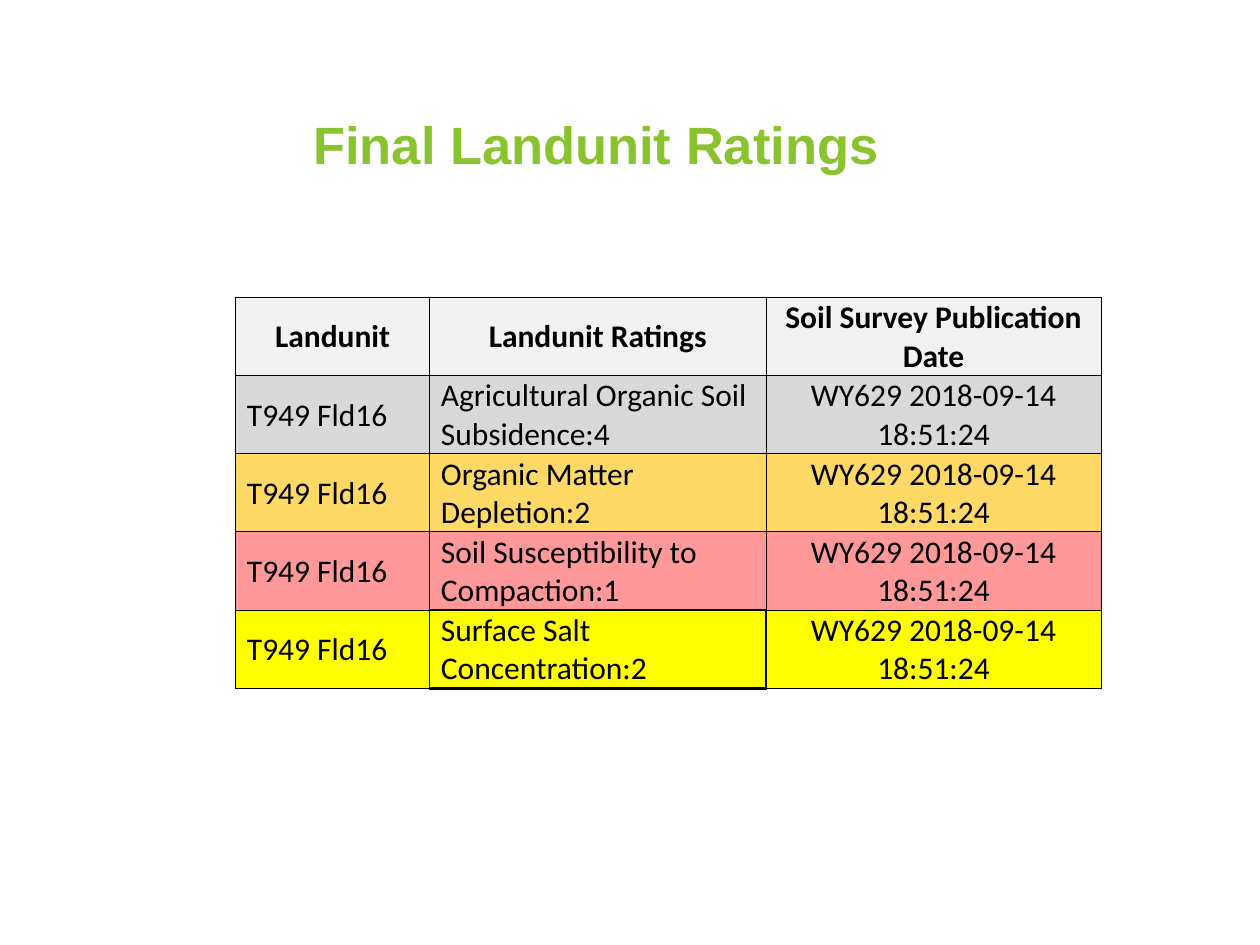
from lxml.etree import SubElement
from pptx import Presentation
from pptx.dml.color import RGBColor
from pptx.enum.text import MSO_ANCHOR, PP_ALIGN
from pptx.oxml.ns import qn
from pptx.util import Inches, Pt

COLORS = {
    "title": "89C32D",
    "ink": "000000",
    "header": "F2F2F2",
    "gray": "D9D9D9",
    "amber": "FFD966",
    "red": "FF9999",
    "yellow": "FFFF00",
}
SURVEY_DATE = "WY629 2018-09-14 18:51:24"
LANDUNIT = "T949 Fld16"
ROWS = [
    ("header", ["Landunit", "Landunit Ratings", "Soil Survey Publication Date"]),
    ("gray", [LANDUNIT, "Agricultural Organic Soil Subsidence:4", SURVEY_DATE]),
    ("amber", [LANDUNIT, "Organic Matter Depletion:2", SURVEY_DATE]),
    ("red", [LANDUNIT, "Soil Susceptibility to Compaction:1", SURVEY_DATE]),
    ("yellow", [LANDUNIT, "Surface Salt Concentration:2", SURVEY_DATE]),
]
COLUMN_WIDTHS = [1.54, 2.67, 2.66]
ROW_HEIGHT = 0.62
HEAVY_BORDERS = {
    **{(0, column, "B"): 1 for column in range(3)},
    **{(1, column, "T"): 1 for column in range(3)},
    (3, 1, "B"): 1,
    (4, 0, "R"): 1,
    (4, 1, "L"): 1,
    (4, 1, "R"): 1,
    (4, 1, "T"): 1,
    (4, 1, "B"): 2,
    (4, 2, "L"): 1,
}


def style_font(para, name, size, color, bold):
    para.font.name = name
    para.font.size = Pt(size)
    para.font.bold = bold
    para.font.color.rgb = RGBColor.from_string(COLORS[color])


def add_border(cell, side, width):
    line = SubElement(cell._tc.get_or_add_tcPr(), qn(f"a:ln{side}"), w=str(Pt(width)))
    fill = SubElement(line, qn("a:solidFill"))
    SubElement(fill, qn("a:srgbClr"), val=COLORS["ink"])


deck = Presentation()
deck.slide_width = Inches(10)
deck.slide_height = Inches(7.5)
page = deck.slides.add_slide(deck.slide_layouts[5])

title = page.shapes.title
title.left, title.top = Inches(0.29), Inches(0.81)
title.width, title.height = Inches(9), Inches(0.73)
title.text_frame.text = "Final Landunit Ratings "
title.text_frame.vertical_anchor = MSO_ANCHOR.MIDDLE
heading = title.text_frame.paragraphs[0]
heading.alignment = PP_ALIGN.CENTER
heading.line_spacing = 0.9
style_font(heading, "Arial", 30, "title", True)

table = page.shapes.add_table(
    len(ROWS), len(COLUMN_WIDTHS), Inches(1.87), Inches(2.36),
    Inches(sum(COLUMN_WIDTHS)), Inches(ROW_HEIGHT * len(ROWS)),
).table
for column, width in zip(table.columns, COLUMN_WIDTHS):
    column.width = Inches(width)

for row_index, (fill_name, texts) in enumerate(ROWS):
    table.rows[row_index].height = Inches(ROW_HEIGHT)
    for column_index, text in enumerate(texts):
        is_header = row_index == 0
        centered = is_header or column_index == 2
        cell = table.cell(row_index, column_index)
        cell.text = text
        cell.vertical_anchor = MSO_ANCHOR.MIDDLE
        cell.margin_left = Inches(0.01 if centered else 0.09)
        cell.margin_top = cell.margin_right = Inches(0.01)
        cell.margin_bottom = 0
        for side in "LRTB":
            add_border(cell, side, HEAVY_BORDERS.get((row_index, column_index, side), 0.5))
        cell.fill.solid()
        cell.fill.fore_color.rgb = RGBColor.from_string(COLORS[fill_name])
        para = cell.text_frame.paragraphs[0]
        para.alignment = PP_ALIGN.CENTER if centered else PP_ALIGN.LEFT
        style_font(para, "Calibri", 18, "ink", is_header)

deck.save("out.pptx")
